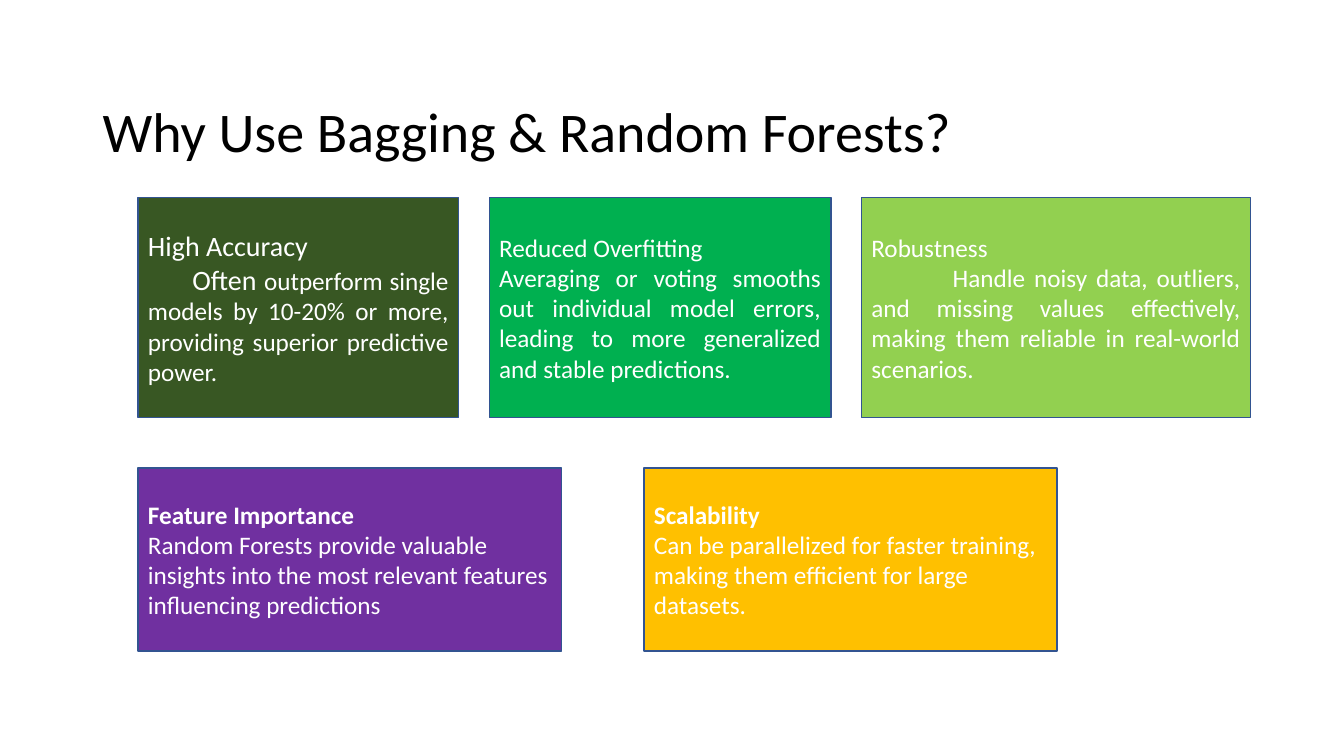
from dataclasses import dataclass

import pptx
import pptx.dml.color
import pptx.enum.shapes
import pptx.enum.text
import pptx.util

Cm = pptx.util.Cm
ALIGN = pptx.enum.text.PP_ALIGN


@dataclass(frozen=True)
class Theme:
    font: str = "Calibri"
    title_size: int = 40
    lead_size: int = 20
    body_size: int = 18
    ink: str = "000000"
    card_text: str = "FFFFFF"
    outline: str = "325491"
    accuracy: str = "385723"
    overfitting: str = "00B050"
    robustness: str = "92D050"
    importance: str = "7030A0"
    scalability: str = "FFC000"


THEME = Theme()


@dataclass(frozen=True)
class Card:
    """One benefit; lead is the opening of the text set at the heading's size."""
    heading: str
    text: str
    fill: str
    width: float
    lead: str = ""
    indent: float = 0
    heading_size: int = THEME.body_size
    bold_heading: bool = False
    align: ALIGN = ALIGN.JUSTIFY


def rgb(code):
    return pptx.dml.color.RGBColor.from_string(code)


def add_run(paragraph, text, size, color, bold=False):
    run = paragraph.add_run()
    run.text = text
    run.font.name = THEME.font
    run.font.size = pptx.util.Pt(size)
    run.font.bold = bold
    run.font.color.rgb = rgb(color)


def add_title(slide, text):
    title = slide.shapes.title
    title.left, title.top = Cm(2.33), Cm(2.36)
    title.width, title.height = Cm(29.21), Cm(2.06)
    frame = title.text_frame
    frame.auto_size = pptx.enum.text.MSO_AUTO_SIZE.NONE
    frame.vertical_anchor = pptx.enum.text.MSO_ANCHOR.MIDDLE
    paragraph = frame.paragraphs[0]
    paragraph.alignment = ALIGN.LEFT
    paragraph.line_spacing = 0.9
    add_run(paragraph, text, THEME.title_size, THEME.ink)


def add_card(slide, card, left, top, height):
    box = slide.shapes.add_shape(
        pptx.enum.shapes.MSO_SHAPE.RECTANGLE,
        Cm(left), Cm(top), Cm(card.width), Cm(height))
    box.shadow.inherit = False
    box.fill.solid()
    box.fill.fore_color.rgb = rgb(card.fill)
    box.line.color.rgb = rgb(THEME.outline)
    box.line.width = pptx.util.Pt(1)

    frame = box.text_frame
    frame.word_wrap = True
    frame.vertical_anchor = pptx.enum.text.MSO_ANCHOR.MIDDLE
    heading = frame.paragraphs[0]
    heading.alignment = ALIGN.LEFT
    add_run(heading, card.heading, card.heading_size, THEME.card_text,
            card.bold_heading)
    body = frame.add_paragraph()
    body.alignment = card.align
    if card.indent:
        body._p.get_or_add_pPr().set("indent", str(Cm(card.indent)))
    if card.lead:
        add_run(body, card.lead, card.heading_size, THEME.card_text)
    add_run(body, card.text, THEME.body_size, THEME.card_text)


def add_card_row(slide, cards, top, height, gap):
    left = 3.48
    for card in cards:
        add_card(slide, card, left, top, height)
        left += card.width + gap


def main():
    deck = pptx.Presentation()
    deck.slide_width, deck.slide_height = Cm(33.87), Cm(19.05)
    slide = deck.slides.add_slide(deck.slide_layouts.get_by_name("Title Only"))
    add_title(slide, "Why Use Bagging & Random Forests?")

    model_quality = [
        Card("High Accuracy",
             "outperform single models by 10-20% or more, providing "
             "superior predictive power.",
             THEME.accuracy, 8.08, lead="Often ", indent=1.12,
             heading_size=THEME.lead_size),
        Card("Reduced Overfitting",
             "Averaging or voting smooths out individual model errors, "
             "leading to more generalized and stable predictions.",
             THEME.overfitting, 8.61),
        Card("Robustness",
             "Handle noisy data, outliers, and missing values effectively, "
             "making them reliable in real-world scenarios.",
             THEME.robustness, 9.8, indent=2.05),
    ]
    practical_use = [
        Card("Feature Importance",
             "Random Forests provide valuable insights into the most "
             "relevant features influencing predictions",
             THEME.importance, 10.67, bold_heading=True, align=ALIGN.LEFT),
        Card("Scalability",
             "Can be parallelized for faster training, making them "
             "efficient for large datasets.",
             THEME.scalability, 10.41, bold_heading=True, align=ALIGN.LEFT),
    ]
    add_card_row(slide, model_quality, top=4.98, height=5.54, gap=0.77)
    add_card_row(slide, practical_use, top=11.79, height=4.62, gap=2.08)
    deck.save("out.pptx")


if __name__ == "__main__":
    main()
